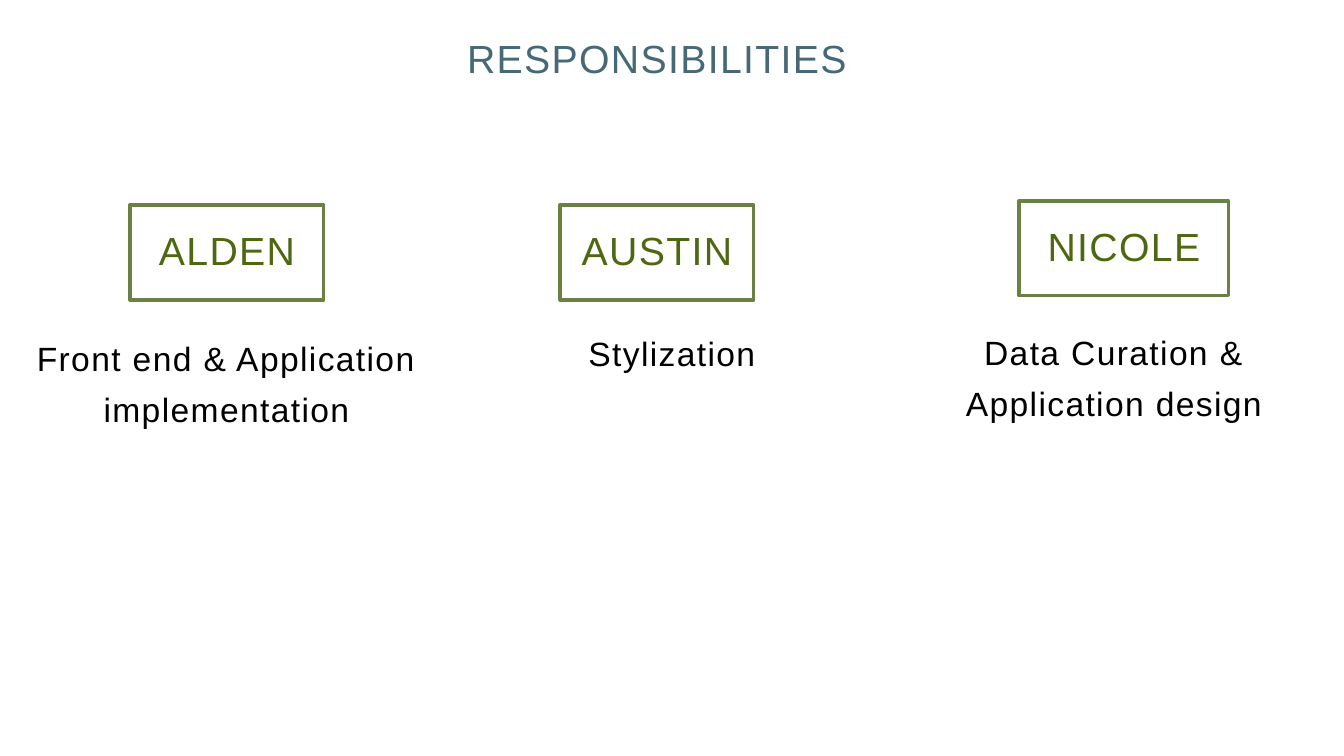
from pptx import Presentation
from pptx.dml.color import RGBColor
from pptx.enum.shapes import MSO_SHAPE
from pptx.enum.text import MSO_ANCHOR, MSO_AUTO_SIZE, PP_ALIGN
from pptx.util import Emu, Pt

EMU_PER_PX = 914400 / 100.8


def px(*lengths):
    return [Emu(round(n * EMU_PER_PX)) for n in lengths]


def write(sp, text, size, color, spacing, anchor):
    tf = sp.text_frame
    p = tf.paragraphs[0]
    r = p.add_run()
    r.text = text
    r.font.color.rgb = RGBColor.from_string(color)
    r._r.get_or_add_rPr().set("spc", "100")
    formats = (
        (tf, {"word_wrap": True, "auto_size": MSO_AUTO_SIZE.NONE, "vertical_anchor": anchor}),
        (p, {"alignment": PP_ALIGN.CENTER, "line_spacing": spacing}),
        (r.font, {"name": "Arial", "size": Pt(size)}),
    )
    for target, values in formats:
        for name, value in values.items():
            setattr(target, name, value)


prs = Presentation()
prs.slide_width, prs.slide_height = px(1344, 756)
s = prs.slides.add_slide(prs.slide_layouts[5])

title = s.shapes.title
title.left, title.top, title.width, title.height = px(342, 35, 630, 51)
write(title, "RESPONSIBILITIES", 28, "476977", 0.9, MSO_ANCHOR.MIDDLE)

members = [
    ("ALDEN", (130, 205, 194, 95), "Front end & Application implementation", (21, 323, 411, 95)),
    ("AUSTIN", (560, 205, 194, 95), "Stylization", (510, 318, 324, 51)),
    ("NICOLE", (1019, 201, 210, 95), "Data Curation & Application design", (901, 317, 426, 143)),
]
for member, name_box, duty, duty_box in members:
    sp = s.shapes.add_shape(MSO_SHAPE.RECTANGLE, *px(*name_box))
    sp.shadow.inherit = False
    sp.fill.background()
    sp.line.color.rgb = RGBColor.from_string("6B8043")
    sp.line.width = Pt(2.25)
    write(sp, member, 28, "4D6810", 0.9, MSO_ANCHOR.MIDDLE)
    sp = s.shapes.add_textbox(*px(*duty_box))
    write(sp, duty, 24, "000000", 1.25, MSO_ANCHOR.TOP)

prs.save("out.pptx")
